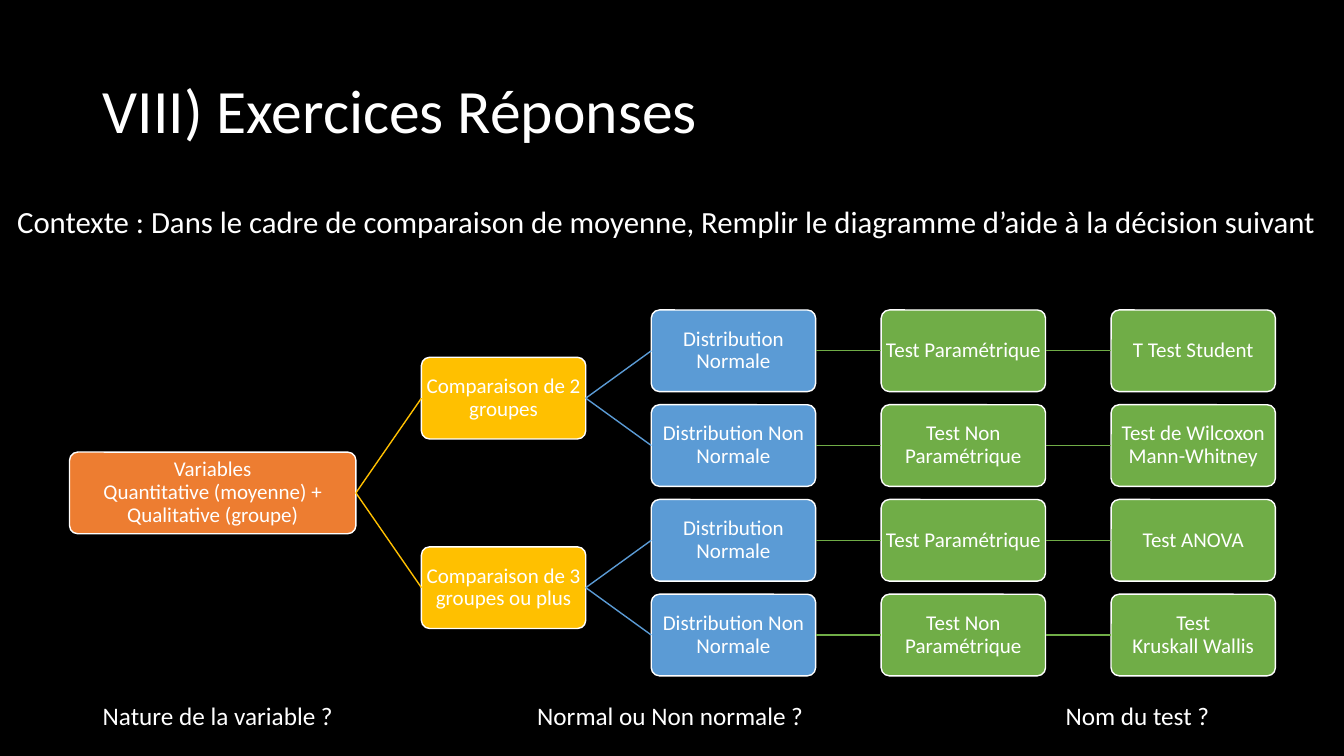
"""Build the slide with the decision tree for choosing a test that compares means."""
from lxml import etree
from pptx import Presentation
from pptx.dml.color import RGBColor
from pptx.enum import shapes, text
from pptx.oxml import ns
from pptx.util import Inches, Pt

TITLE = "VIII) Exercices Réponses"
CONTEXT = ("Contexte : Dans le cadre de comparaison de moyenne, "
           "Remplir le diagramme d’aide à la décision suivant")
TREE = ("Variables\nQuantitative (moyenne) +\nQualitative (groupe)", [
    ("Comparaison de 2 groupes", [
        ("Distribution Normale", [("Test Paramétrique", [("T Test Student", [])])]),
        ("Distribution Non Normale", [
            ("Test Non Paramétrique", [("Test de Wilcoxon Mann-Whitney", [])])]),
    ]),
    ("Comparaison de 3 groupes ou plus", [
        ("Distribution Normale", [("Test Paramétrique", [("Test ANOVA", [])])]),
        ("Distribution Non Normale", [
            ("Test Non Paramétrique", [("Test\nKruskall Wallis", [])])]),
    ]),
])
QUESTIONS = [
    ("Nature de la variable ?", 0.92, 2.51),
    ("Normal ou Non normale ?", 5.23, 2.87),
    ("Nom du test ?", 10.47, 1.71),
]

COLORS = {"background": "000000", "white": "FFFFFF", "variables": "ED7D31",
          "groups": "FFC000", "distribution": "5B9BD5", "test": "70AD47"}
LEVELS = ["variables", "groups", "distribution", "test", "test"]
FONT = "Calibri"
ROOT_LEFT, ROOT_WIDTH = 0.69, 2.84
COLUMN_LEFT, COLUMN_STEP, NODE_WIDTH = 4.18, 2.28, 1.63
ROW_CENTER, ROW_STEP, NODE_HEIGHT = 3.48, 0.94, 0.81
LEFT_SITE, RIGHT_SITE = 1, 3


def color(name):
    return RGBColor.from_string(COLORS[name])


def write(frame, content, size, align=text.PP_ALIGN.LEFT, spacing=0.9):
    paragraph = frame.paragraphs[0]
    paragraph.text = content.replace("\n", "\v")
    paragraph.alignment = align
    paragraph.line_spacing = spacing
    paragraph.space_before = Pt(0)
    for run in paragraph.runs:
        run.font.name = FONT
        run.font.size = Pt(size)
        run.font.color.rgb = color("white")


def place(shape, left, top, width, height):
    shape.left, shape.top = Inches(left), Inches(top)
    shape.width, shape.height = Inches(width), Inches(height)


def add_node(slide, content, depth, row):
    left = COLUMN_LEFT + COLUMN_STEP * (depth - 1) if depth else ROOT_LEFT
    width = NODE_WIDTH if depth else ROOT_WIDTH
    top = ROW_CENTER + ROW_STEP * row - NODE_HEIGHT / 2
    node = slide.shapes.add_shape(
        shapes.MSO_SHAPE.ROUNDED_RECTANGLE,
        Inches(left), Inches(top), Inches(width), Inches(NODE_HEIGHT))
    node.adjustments[0] = 0.1
    node.shadow.inherit = False
    node.fill.solid()
    node.fill.fore_color.rgb = color(LEVELS[depth])
    node.line.color.rgb = color("white")
    node.line.width = Pt(1)
    frame = node.text_frame
    frame.word_wrap = True
    frame.vertical_anchor = text.MSO_ANCHOR.MIDDLE
    frame.margin_left = frame.margin_right = Inches(0.01)
    frame.margin_top = frame.margin_bottom = Inches(0.01)
    write(frame, content, 15, text.PP_ALIGN.CENTER)
    return node


def add_link(slide, parent, child, depth):
    link = slide.shapes.add_connector(shapes.MSO_CONNECTOR.STRAIGHT, 0, 0, 0, 0)
    link.begin_connect(parent, RIGHT_SITE)
    link.end_connect(child, LEFT_SITE)
    link.line.color.rgb = color(LEVELS[depth])
    link.line.width = Pt(1)
    etree.SubElement(link._element.spPr, ns.qn("a:effectLst"))


def count_leaves(branch):
    return sum(map(count_leaves, branch[1])) or 1


def draw_branch(slide, branch, depth=0, first_row=0, parent=None):
    content, children = branch
    row = first_row + (count_leaves(branch) - 1) / 2
    node = add_node(slide, content, depth, row)
    if parent is not None:
        add_link(slide, parent, node, depth)
    for child in children:
        draw_branch(slide, child, depth + 1, first_row, node)
        first_row += count_leaves(child)


def main():
    presentation = Presentation()
    presentation.slide_width = Inches(13.33)
    presentation.slide_height = Inches(7.5)
    slide = presentation.slides.add_slide(presentation.slide_layouts[1])
    slide.background.fill.solid()
    slide.background.fill.fore_color.rgb = color("background")

    title, body = slide.placeholders
    place(title, 0.92, 0.4, 11.5, 1.45)
    title.text_frame.vertical_anchor = text.MSO_ANCHOR.MIDDLE
    write(title.text_frame, TITLE, 44)

    place(body, 0, 2, 13.33, 5.5)
    body.text_frame.margin_left = Inches(0.17)
    body.text_frame.auto_size = text.MSO_AUTO_SIZE.NONE
    properties = body.text_frame.paragraphs[0]._p.get_or_add_pPr()
    properties.set("marL", "0")
    properties.set("indent", "0")
    etree.SubElement(properties, ns.qn("a:buNone"))
    write(body.text_frame, CONTEXT, 22)

    draw_branch(slide, TREE)

    for question, left, width in QUESTIONS:
        box = slide.shapes.add_textbox(
            Inches(left), Inches(6.9), Inches(width), Inches(0.4))
        box.text_frame.word_wrap = False
        box.text_frame.auto_size = text.MSO_AUTO_SIZE.SHAPE_TO_FIT_TEXT
        write(box.text_frame, question, 18, spacing=1.0)

    presentation.save("out.pptx")


if __name__ == "__main__":
    main()
